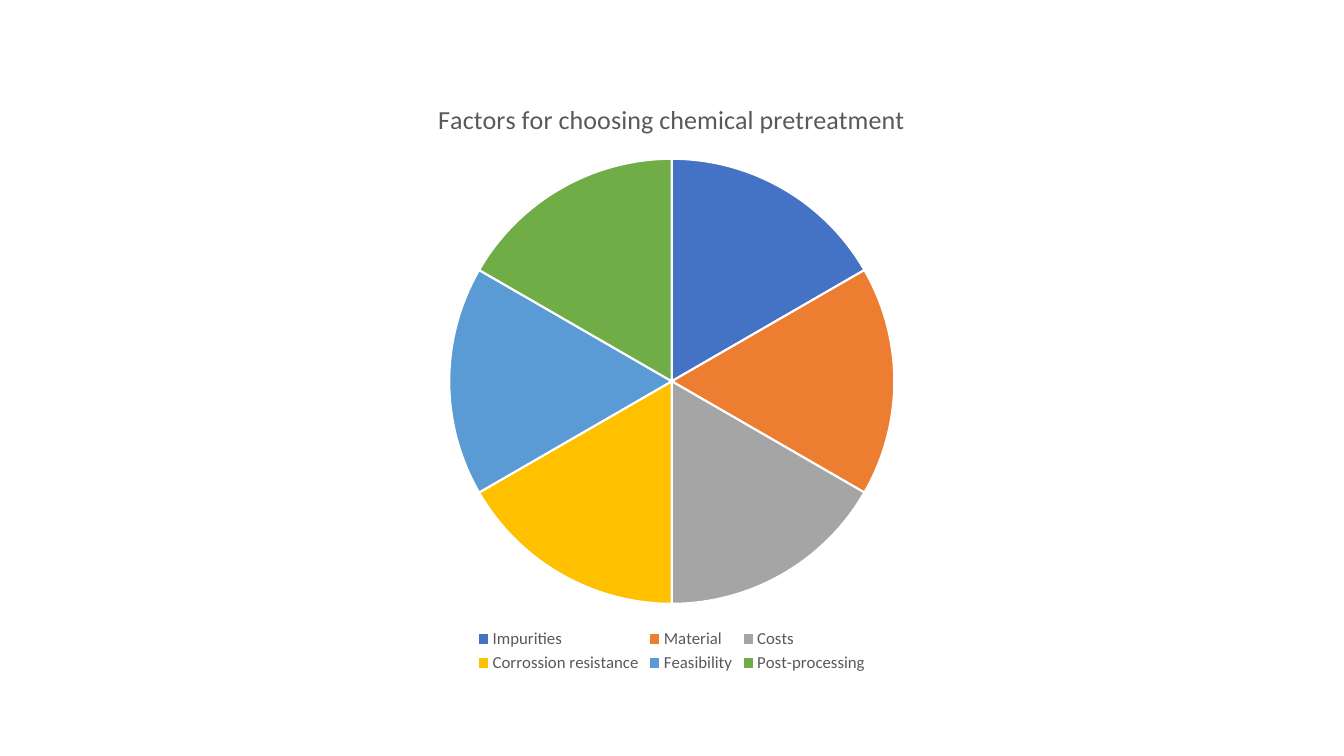
from pptx import Presentation
from pptx import util as u
from pptx.chart.data import CategoryChartData
from pptx.dml.color import RGBColor
from pptx.enum import chart as ch

FONT = "Calibri"
BLACK = RGBColor(0x00, 0x00, 0x00)
WHITE = RGBColor(0xFF, 0xFF, 0xFF)
GREY = RGBColor(0x59, 0x59, 0x59)
TITLE = "Factors for choosing chemical pretreatment"
SHARE = 17
FACTORS = {
    "Impurities": RGBColor(0x44, 0x72, 0xC4),
    "Material": RGBColor(0xED, 0x7D, 0x31),
    "Costs": RGBColor(0xA5, 0xA5, 0xA5),
    "Corrossion resistance": RGBColor(0xFF, 0xC0, 0x00),
    "Feasibility": RGBColor(0x5B, 0x9B, 0xD5),
    "Post-processing": RGBColor(0x70, 0xAD, 0x47),
}


def set_font(font, size, color):
    font.name = FONT
    font.size = u.Pt(size)
    font.bold = False
    font.color.rgb = color


def add_pie(slide, left, top, width, height):
    data = CategoryChartData()
    data.categories = list(FACTORS)
    data.add_series(TITLE, [SHARE] * len(FACTORS))
    frame = slide.shapes.add_chart(
        ch.XL_CHART_TYPE.PIE, left, top, width, height, data)
    pie = frame.chart
    set_font(pie.font, 10, BLACK)
    pie.plots[0].vary_by_categories = True
    return pie


def add_title(pie):
    pie.has_title = True
    para = pie.chart_title.text_frame.paragraphs[0]
    para.text = TITLE
    set_font(para.font, 18.6, GREY)
    pie.chart_title.include_in_layout = False


def add_legend(pie):
    pie.has_legend = True
    pie.legend.position = ch.XL_LEGEND_POSITION.BOTTOM
    pie.legend.include_in_layout = False
    set_font(pie.legend.font, 12, GREY)


def paint_slices(pie):
    points = pie.plots[0].series[0].points
    for i, color in enumerate(FACTORS.values()):
        style = points[i].format
        style.fill.solid()
        style.fill.fore_color.rgb = color
        style.line.color.rgb = WHITE
        style.line.width = u.Pt(1.5)


def main():
    deck = Presentation()
    deck.slide_width = u.Cm(33.87)
    deck.slide_height = u.Cm(19.05)
    slide = deck.slides.add_slide(deck.slide_layouts[6])
    pie = add_pie(slide, u.Cm(5.64), u.Cm(2), u.Cm(22.58), u.Cm(15.06))
    add_title(pie)
    add_legend(pie)
    paint_slices(pie)
    deck.save("out.pptx")


if __name__ == "__main__":
    main()
